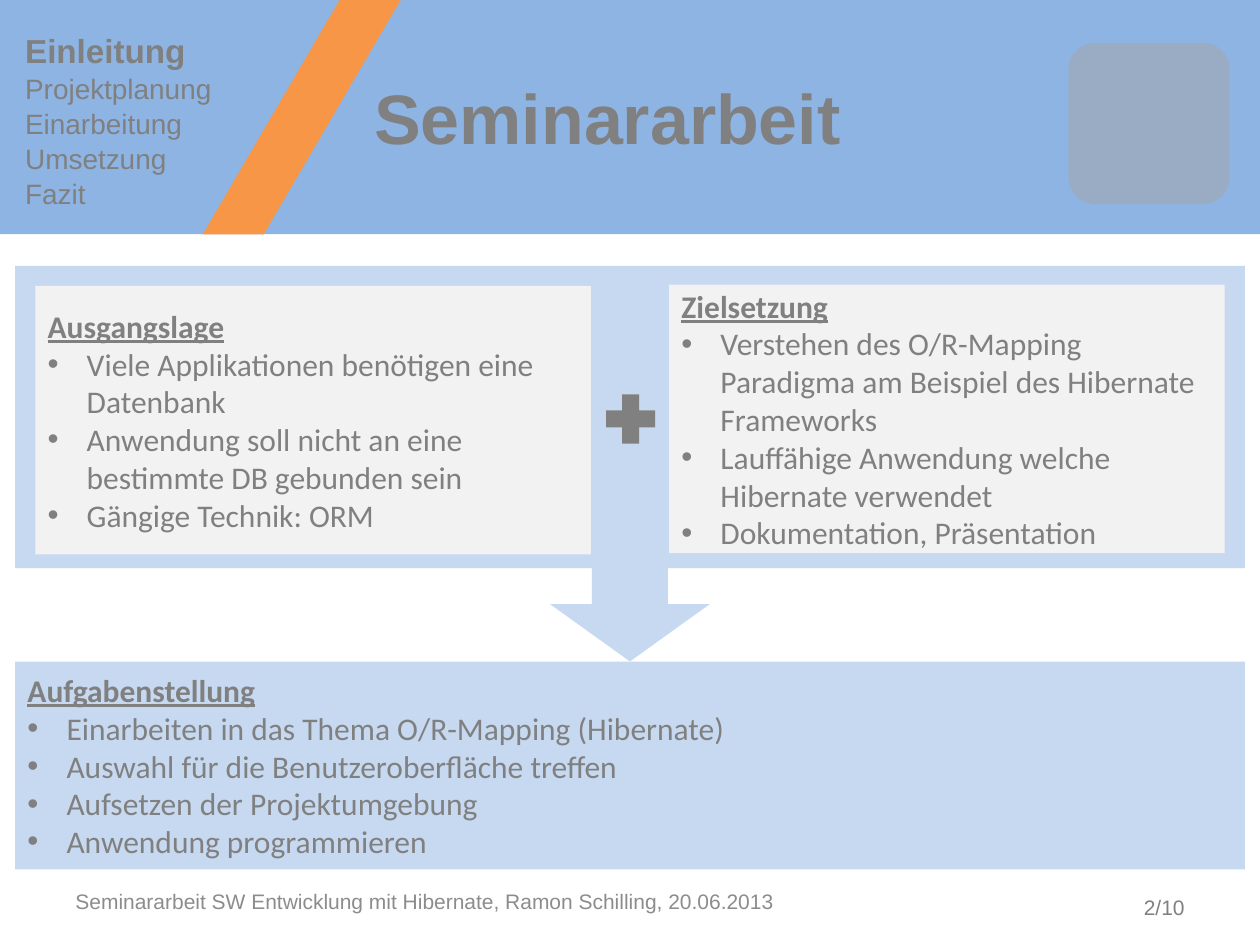
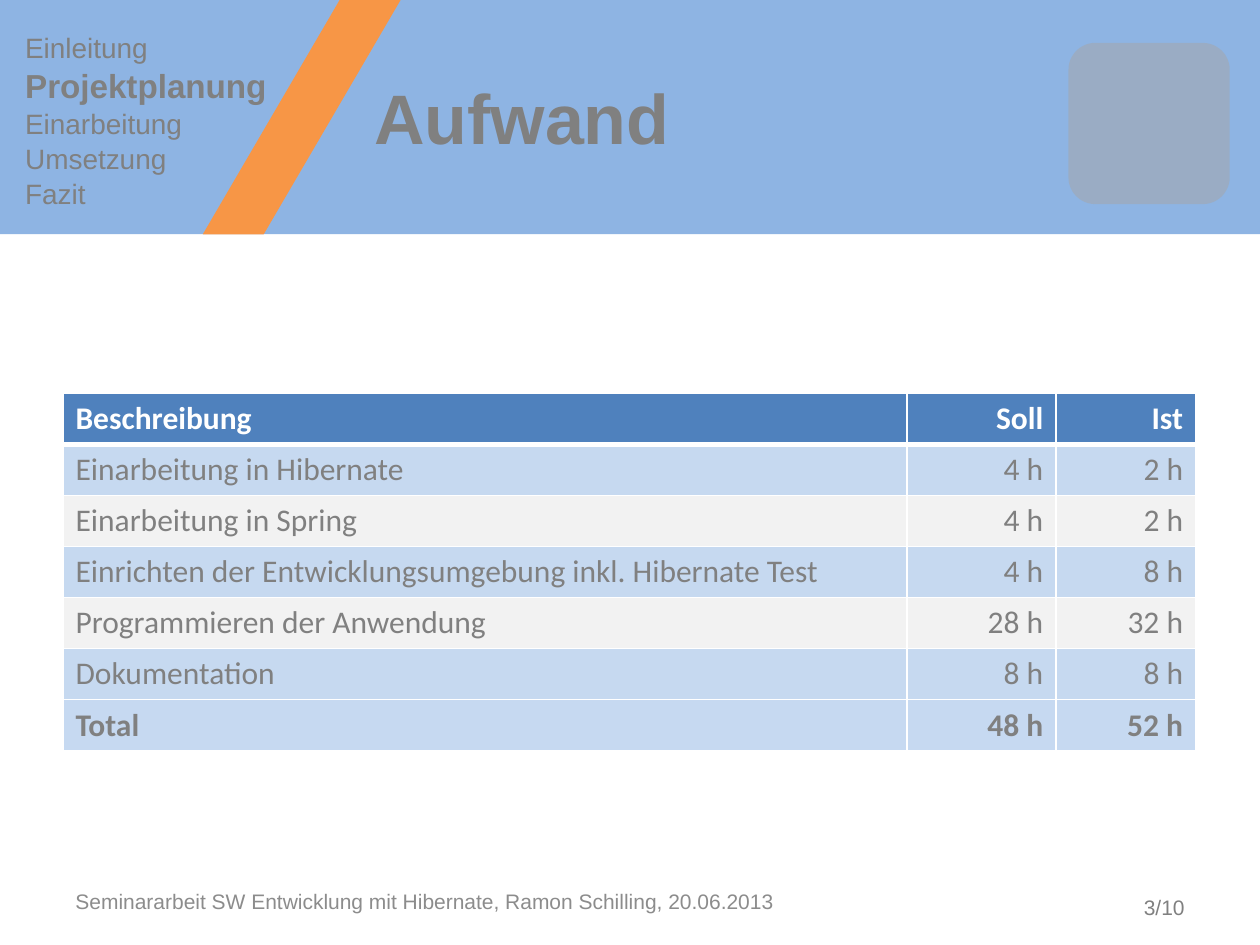
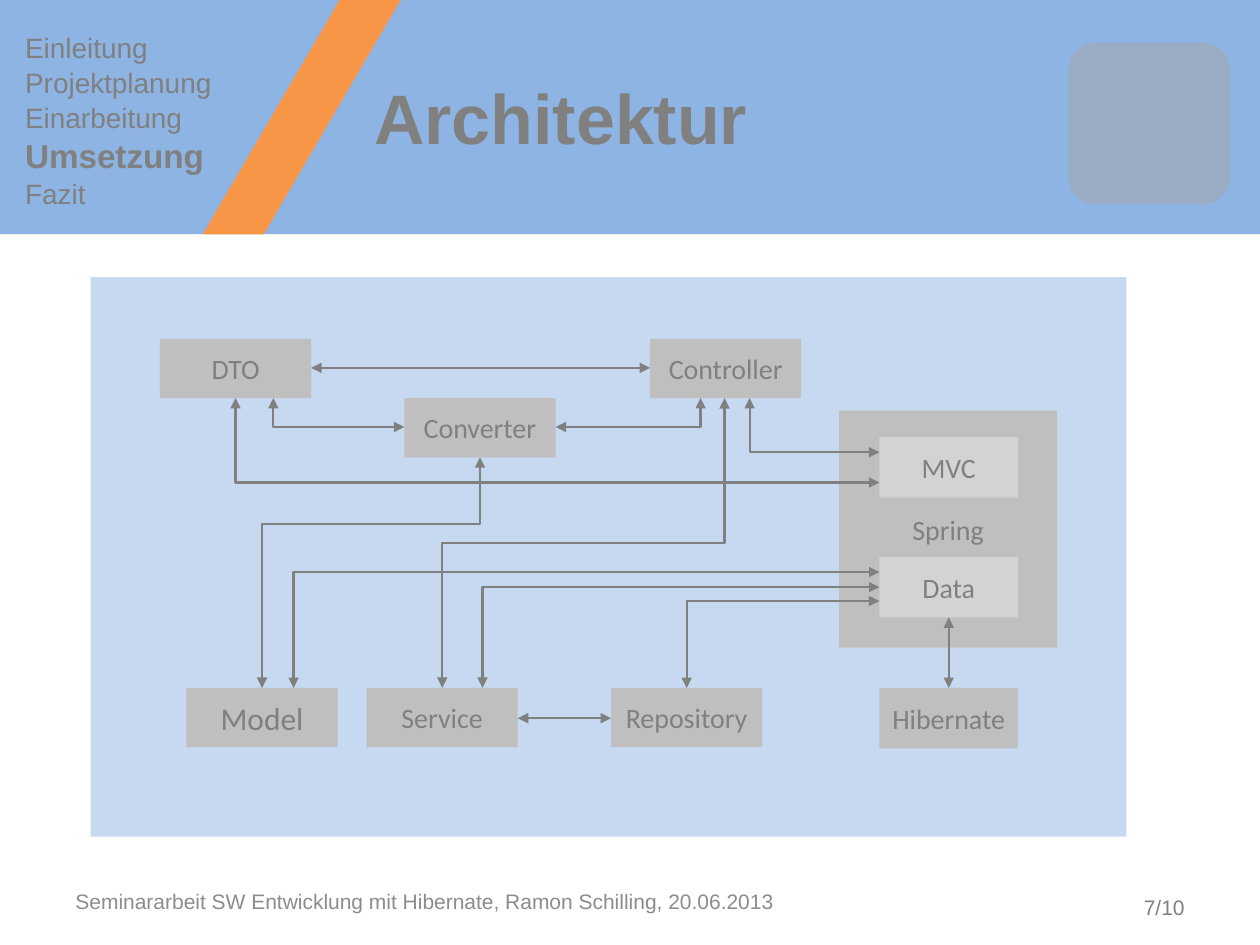
from dataclasses import dataclass
from typing import Any, Optional

from lxml.etree import SubElement
from pptx import Presentation
from pptx.dml.color import RGBColor
from pptx.enum.shapes import MSO_CONNECTOR, MSO_SHAPE
from pptx.enum.text import MSO_ANCHOR, PP_ALIGN
from pptx.oxml.ns import qn
from pptx.util import Inches, Pt

# Colours
BLUE = RGBColor(0x8E, 0xB4, 0xE3)
PALE_BLUE = RGBColor(0xC6, 0xD9, 0xF1)
HEADER_BLUE = RGBColor(0x4F, 0x81, 0xBD)
ORANGE = RGBColor(0xF7, 0x96, 0x46)
TEXT_GRAY = RGBColor(0x80, 0x80, 0x80)
FOOTER_GRAY = RGBColor(0x8C, 0x8C, 0x8C)
EMBLEM_GRAY = RGBColor(0xA6, 0xA6, 0xA6)
BOX_GRAY = RGBColor(0xBF, 0xBF, 0xBF)
INNER_GRAY = RGBColor(0xD9, 0xD9, 0xD9)
OFF_WHITE = RGBColor(0xF2, 0xF2, 0xF2)
WHITE = RGBColor(0xFF, 0xFF, 0xFF)

# Text formats
TITLE = {"name": "Arial", "size": Pt(40), "bold": True}
SMALL = {"name": "Arial", "size": Pt(12)}
MENU = {"name": "Arial", "size": Pt(16), "bold": False}
MENU_ACTIVE = {"name": "Arial", "size": Pt(19), "bold": True}
BODY = {"name": "Calibri", "size": Pt(18), "bold": False}
HEADING = BODY | {"bold": True, "underline": True}
STRONG = BODY | {"bold": True}
LABEL = BODY | {"size": Pt(16)}

CHAPTERS = ("Einleitung", "Projektplanung", "Einarbeitung", "Umsetzung", "Fazit")
FOOTER = "Seminararbeit SW Entwicklung mit Hibernate, Ramon Schilling, 20.06.2013"
PAGE_COUNT = 10
BULLET_INDENT = Inches(0.31)


@dataclass(frozen=True)
class Area:
    left: float
    top: float
    width: float
    height: float

    def lengths(self) -> tuple:
        return tuple(map(Inches, (self.left, self.top, self.width, self.height)))


@dataclass(frozen=True)
class Panel:
    heading: str
    bullets: tuple
    area: Area
    color: RGBColor
    opacity: int = 100


@dataclass(frozen=True)
class Box:
    label: str
    area: Area
    color: RGBColor = BOX_GRAY
    opacity: int = 100
    size: int = 16


@dataclass(frozen=True)
class Link:
    """Arrow from start to end; bend is the share of the height at which a step turns."""
    start: tuple
    end: tuple
    bend: Optional[float] = None


# Helpers
def set_attributes(target: Any, values: dict) -> None:
    for name, value in values.items():
        setattr(target, name, value)


def write(paragraph: Any, text: str, style: dict, color: RGBColor = TEXT_GRAY,
          alignment: PP_ALIGN = PP_ALIGN.LEFT) -> None:
    paragraph.alignment = alignment
    run = paragraph.add_run()
    run.text = text
    set_attributes(run.font, style)
    run.font.color.rgb = color


def fill_solid(target: Any, color: RGBColor, opacity: int, properties: Any) -> None:
    target.fill.solid()
    target.fill.fore_color.rgb = color
    if opacity < 100:
        color_element = properties.find(qn("a:solidFill")).find(qn("a:srgbClr"))
        SubElement(color_element, qn("a:alpha"), val=str(opacity * 1000))


def add_block(slide: Any, kind: MSO_SHAPE, area: Area, color: RGBColor,
              opacity: int = 100, adjustments: tuple = ()) -> Any:
    shape = slide.shapes.add_shape(kind, *area.lengths())
    shape.shadow.inherit = False
    shape.line.fill.background()
    fill_solid(shape, color, opacity, shape.element.spPr)
    for index, value in enumerate(adjustments):
        shape.adjustments[index] = value
    return shape


def add_text(slide: Any, area: Area, **frame_values: Any) -> Any:
    shape = slide.shapes.add_textbox(*area.lengths())
    set_attributes(shape.text_frame, {"word_wrap": True} | frame_values)
    return shape


# Shared parts
def decorate_layout(slide: Any) -> None:
    """Draw the band, stripe, footer and emblem and move them to the layout."""
    footer = add_text(slide, Area(0.5, 6.95, 6.39, 0.4), vertical_anchor=MSO_ANCHOR.MIDDLE)
    write(footer.text_frame.paragraphs[0], FOOTER, SMALL, FOOTER_GRAY)
    parts = (
        add_block(slide, MSO_SHAPE.RECTANGLE, Area(0, 0, 10, 1.86), BLUE),
        add_block(slide, MSO_SHAPE.PARALLELOGRAM, Area(1.61, 0, 1.57, 1.86), ORANGE,
                  adjustments=(0.692,)),
        footer,
        add_block(slide, MSO_SHAPE.ROUNDED_RECTANGLE, Area(8.48, 0.34, 1.28, 1.28),
                  EMBLEM_GRAY, 50),
    )
    layout = slide.slide_layout
    for placeholder in list(layout.placeholders)[1:]:
        layout.shapes.element.remove(placeholder.element)
    for index, part in enumerate(parts):
        layout.shapes.element.insert(2 + index, part.element)


def add_page(presentation: Any, title: str, chapter: str, number: int) -> Any:
    slide = presentation.slides.add_slide(presentation.slide_layouts[5])
    if len(presentation.slides) == 1:
        decorate_layout(slide)

    title_shape = slide.shapes.title
    position = Area(2.87, 0.3, 5.67, 1.25).lengths()
    set_attributes(title_shape, dict(zip(("left", "top", "width", "height"), position)))
    title_shape.text_frame.vertical_anchor = MSO_ANCHOR.MIDDLE
    write(title_shape.text_frame.paragraphs[0], title, TITLE)

    margins = dict.fromkeys(("margin_left", "margin_top", "margin_right", "margin_bottom"), 0)
    menu = add_text(slide, Area(0.2, 0.24, 1.97, 1.5), **margins).text_frame
    for index, name in enumerate(CHAPTERS):
        paragraph = menu.add_paragraph() if index else menu.paragraphs[0]
        paragraph.space_before = Pt(0.8)
        write(paragraph, name, MENU_ACTIVE if name == chapter else MENU)

    page_number = add_text(slide, Area(8.48, 7.05, 1.02, 0.3))
    write(page_number.text_frame.paragraphs[0], f"{number}/{PAGE_COUNT}", SMALL,
          alignment=PP_ALIGN.RIGHT)
    return slide


# Seminararbeit
PANELS = (
    Panel("Aufgabenstellung",
          ("Einarbeiten in das Thema O/R-Mapping (Hibernate)",
           "Auswahl für die Benutzeroberfläche treffen",
           "Aufsetzen der Projektumgebung",
           "Anwendung programmieren"),
          Area(0.12, 5.25, 9.76, 1.65), BLUE, 50),
    Panel("Ausgangslage",
          ("Viele Applikationen benötigen eine Datenbank",
           "Anwendung soll nicht an eine bestimmte DB gebunden sein",
           "Gängige Technik: ORM"),
          Area(0.28, 2.27, 4.41, 2.13), OFF_WHITE),
    Panel("Zielsetzung",
          ("Verstehen des O/R-Mapping Paradigma am Beispiel des Hibernate Frameworks",
           "Lauffähige Anwendung welche Hibernate verwendet",
           "Dokumentation, Präsentation"),
          Area(5.31, 2.26, 4.41, 2.13), OFF_WHITE),
)


def add_panel(slide: Any, panel: Panel) -> None:
    shape = add_block(slide, MSO_SHAPE.RECTANGLE, panel.area, panel.color, panel.opacity)
    frame = shape.text_frame
    frame.vertical_anchor = MSO_ANCHOR.MIDDLE
    write(frame.paragraphs[0], panel.heading, HEADING)
    for bullet in panel.bullets:
        paragraph = frame.add_paragraph()
        write(paragraph, bullet, BODY)
        properties = paragraph._p.get_or_add_pPr()
        properties.set("marL", str(BULLET_INDENT))
        properties.set("indent", str(-BULLET_INDENT))
        SubElement(properties, qn("a:buFont"), typeface="Arial")
        SubElement(properties, qn("a:buChar"), char="•")


def build_assignment(presentation: Any) -> None:
    slide = add_page(presentation, "Seminararbeit", "Einleitung", 2)
    add_block(slide, MSO_SHAPE.DOWN_ARROW_CALLOUT, Area(0.12, 2.11, 9.76, 3.14), BLUE, 50,
              (0.192, 0.202, 0.145, 0.764))
    for panel in PANELS:
        add_panel(slide, panel)
    add_block(slide, MSO_SHAPE.CROSS, Area(4.81, 3.13, 0.39, 0.39), TEXT_GRAY,
              adjustments=(0.326,))


# Aufwand
EFFORT = (
    ("Beschreibung", "Soll", "Ist"),
    ("Einarbeitung in Hibernate", "4 h", "2 h"),
    ("Einarbeitung in Spring", "4 h", "2 h"),
    ("Einrichten der Entwicklungsumgebung inkl. Hibernate Test", "4 h", "8 h"),
    ("Programmieren der Anwendung", "28 h", "32 h"),
    ("Dokumentation", "8 h", "8 h"),
    ("Total", "48 h", "52 h"),
)
COLUMN_WIDTHS = (6.7, 1.18, 1.11)


def set_borders(cell: Any, bottom: float) -> None:
    properties = cell._tc.get_or_add_tcPr()
    for side, width in (("L", 1), ("R", 1), ("T", 1), ("B", bottom)):
        line = SubElement(properties, qn(f"a:ln{side}"), w=str(Pt(width)))
        SubElement(SubElement(line, qn("a:solidFill")), qn("a:srgbClr"), val=str(WHITE))


def build_effort(presentation: Any) -> None:
    slide = add_page(presentation, "Aufwand", "Projektplanung", 3)
    area = Area(0.5, 3.12, sum(COLUMN_WIDTHS), 2.84)
    table = slide.shapes.add_table(len(EFFORT), len(COLUMN_WIDTHS), *area.lengths()).table
    for column, width in zip(table.columns, COLUMN_WIDTHS):
        column.width = Inches(width)
    last = len(EFFORT) - 1
    for row, values in enumerate(EFFORT):
        if row == 0:
            fill, opacity = HEADER_BLUE, 100
        elif row == last:
            fill, opacity = PALE_BLUE, 100
        else:
            fill, opacity = (BLUE, 50) if row % 2 else (OFF_WHITE, 100)
        for column, value in enumerate(values):
            cell = table.cell(row, column)
            set_borders(cell, 1 if row else 3)
            fill_solid(cell, fill, opacity, cell._tc.tcPr)
            write(cell.text_frame.paragraphs[0], value,
                  STRONG if row in (0, last) else BODY,
                  TEXT_GRAY if row else WHITE,
                  PP_ALIGN.RIGHT if column else PP_ALIGN.LEFT)


# Architektur
def component(label: str, left: float, top: float, size: int = 16) -> Box:
    return Box(label, Area(left, top, 1.2, 0.47), size=size)


BOXES = (
    Box("Spring", Area(6.66, 3.26, 1.73, 1.88)),
    Box("MVC", Area(6.98, 3.47, 1.1, 0.48), INNER_GRAY, 80),
    Box("Data", Area(6.98, 4.42, 1.1, 0.48), INNER_GRAY, 80),
    Box("Hibernate", Area(6.98, 5.46, 1.1, 0.48)),
    component("Controller", 5.16, 2.69),
    component("Model", 1.48, 5.46, 18),
    component("Repository", 4.85, 5.46),
    component("Service", 2.91, 5.46),
    component("DTO", 1.27, 2.69),
    component("Converter", 3.21, 3.16),
)
LINKS = (
    Link((5.16, 2.92), (2.47, 2.92)),
    Link((4.11, 5.7), (4.85, 5.7)),
    Link((7.53, 5.46), (7.53, 4.9)),
    Link((6.98, 4.77), (5.45, 5.46)),
    Link((6.98, 4.66), (3.83, 5.46)),
    Link((6.98, 4.54), (2.33, 5.46)),
    Link((6.98, 3.59), (5.95, 3.16)),
    Link((6.98, 3.83), (1.87, 3.16)),
    Link((3.21, 3.39), (2.17, 3.16)),
    Link((4.41, 3.39), (5.56, 3.16)),
    Link((5.75, 3.16), (3.51, 5.46), 0.5),
    Link((3.81, 3.63), (2.08, 5.46), 0.29),
)


def add_box(slide: Any, box: Box) -> None:
    shape = add_block(slide, MSO_SHAPE.RECTANGLE, box.area, box.color, box.opacity)
    set_attributes(shape.text_frame, {"vertical_anchor": MSO_ANCHOR.MIDDLE, "word_wrap": True,
                                      "margin_left": 0, "margin_right": 0})
    write(shape.text_frame.paragraphs[0], box.label, LABEL | {"size": Pt(box.size)},
          alignment=PP_ALIGN.CENTER)


def add_link(slide: Any, link: Link) -> None:
    (x1, y1), (x2, y2) = link.start, link.end
    straight = x1 == x2 or y1 == y2
    kind = MSO_CONNECTOR.STRAIGHT if straight else MSO_CONNECTOR.ELBOW
    if link.bend is not None:
        # A step that leaves downwards is a sideways step turned by 90 degrees
        center_x, center_y = (x1 + x2) / 2, (y1 + y2) / 2
        half_width, half_height = (y2 - y1) / 2, (x1 - x2) / 2
        x1, x2 = center_x - half_width, center_x + half_width
        y1, y2 = center_y - half_height, center_y + half_height
    connector = slide.shapes.add_connector(kind, *map(Inches, (x1, y1, x2, y2)))
    connector.line.width = Pt(1.25)
    connector.line.color.rgb = TEXT_GRAY
    properties = connector.element.spPr
    geometry = properties.find(qn("a:prstGeom"))
    if link.bend is not None:
        properties.find(qn("a:xfrm")).set("rot", str(90 * 60000))
        SubElement(geometry.find(qn("a:avLst")), qn("a:gd"), name="adj1",
                   fmla=f"val {round(link.bend * 100000)}")
    elif not straight:
        geometry.set("prst", "bentConnector2")
    line = properties.find(qn("a:ln"))
    for end in ("headEnd", "tailEnd"):
        SubElement(line, qn(f"a:{end}"), type="triangle")
    SubElement(properties, qn("a:effectLst"))


def build_architecture(presentation: Any) -> None:
    slide = add_page(presentation, "Architektur", "Umsetzung", 7)
    add_block(slide, MSO_SHAPE.RECTANGLE, Area(0.72, 2.2, 8.22, 4.44), BLUE, 50)
    for box in BOXES:
        add_box(slide, box)
    for link in LINKS:
        add_link(slide, link)


def main() -> None:
    presentation = Presentation()
    presentation.slide_width, presentation.slide_height = Inches(10), Inches(7.5)
    for build in (build_assignment, build_effort, build_architecture):
        build(presentation)
    presentation.save("out.pptx")


if __name__ == "__main__":
    main()
